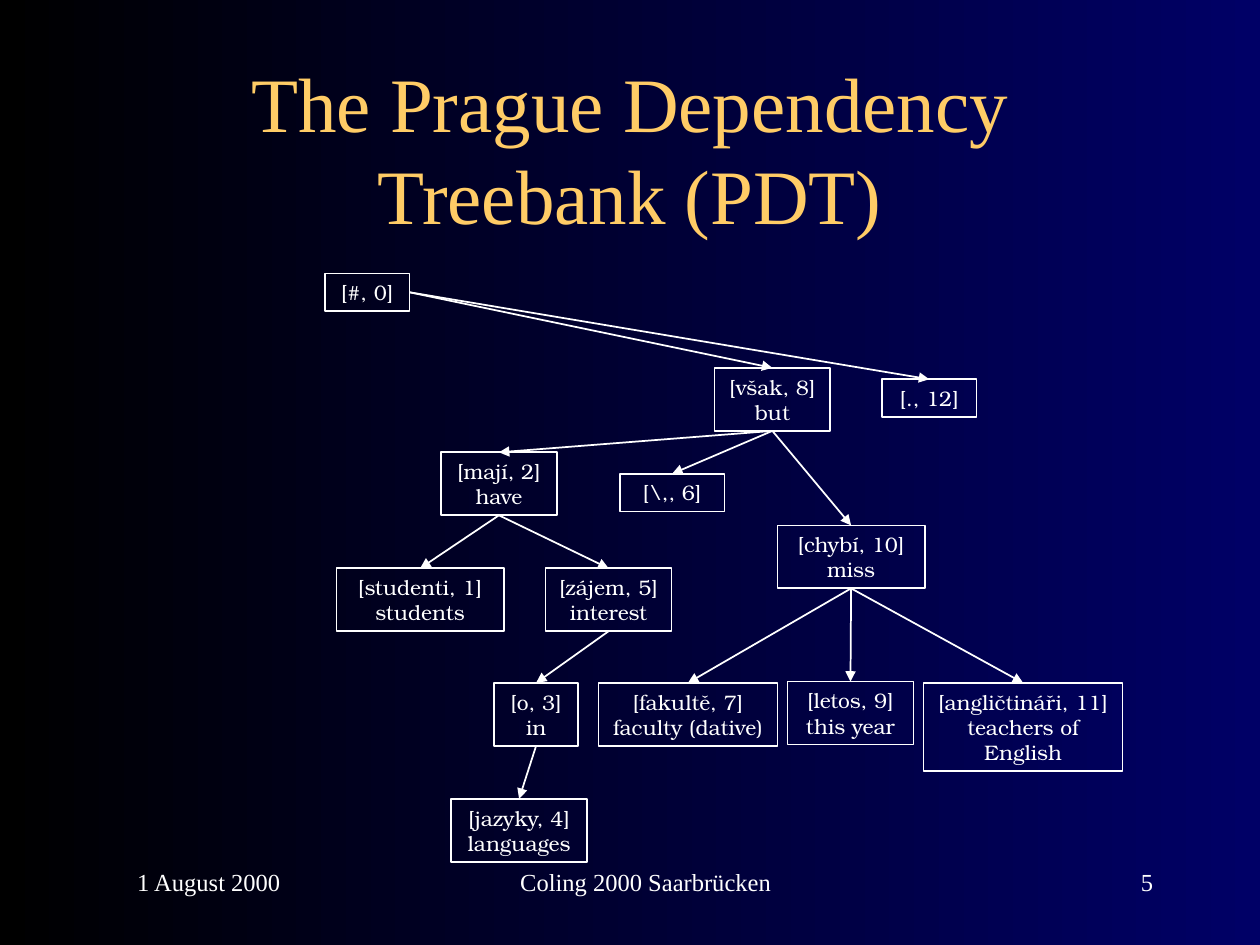
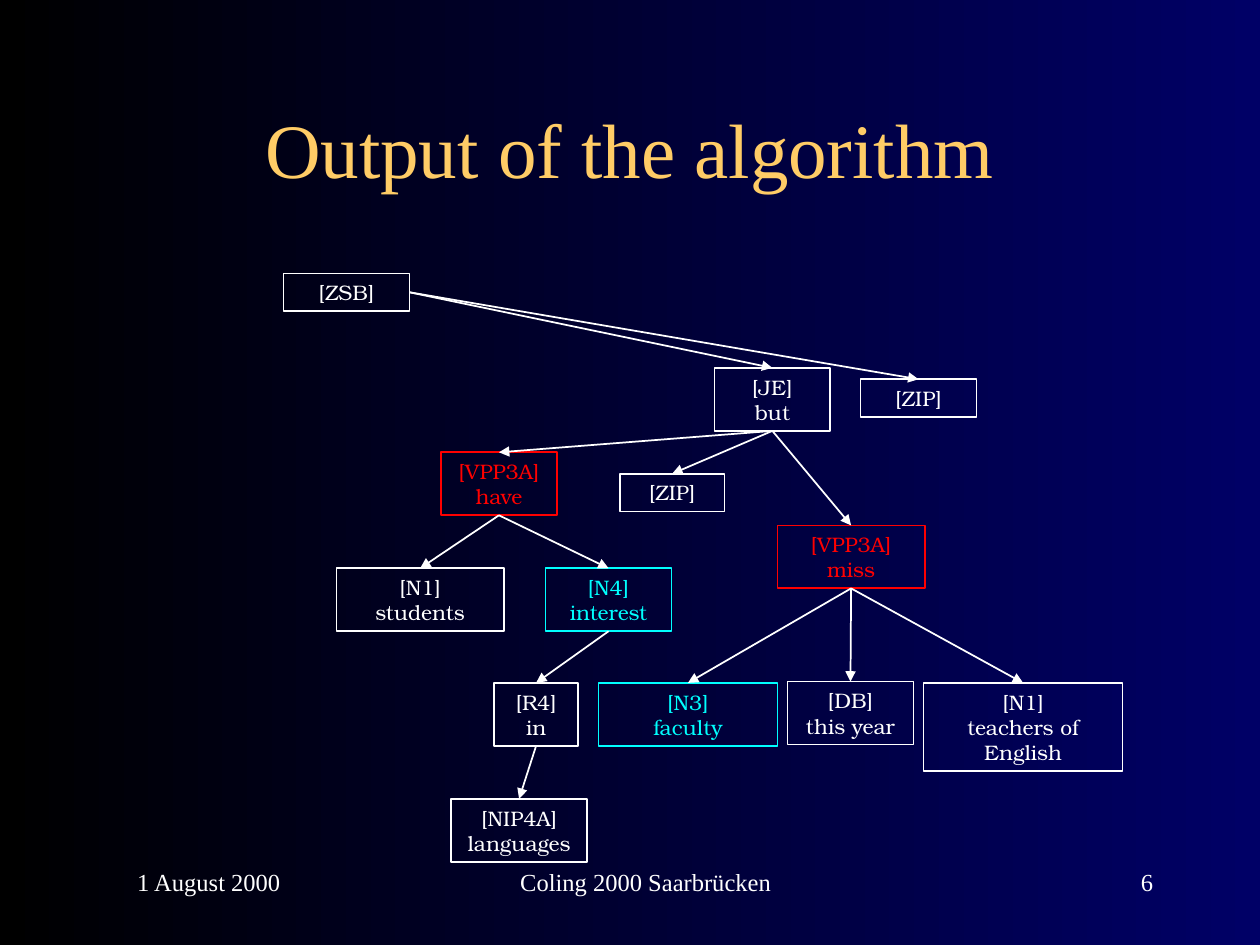
from copy import deepcopy
from dataclasses import dataclass
from typing import Optional

from lxml.etree import SubElement
from pptx import Presentation
from pptx.dml.color import RGBColor
from pptx.enum.shapes import MSO_CONNECTOR, MSO_SHAPE
from pptx.enum.text import MSO_ANCHOR, MSO_AUTO_SIZE, PP_ALIGN
from pptx.oxml.ns import qn
from pptx.util import Inches, Pt


@dataclass(frozen=True)
class Theme:
    night: RGBColor = RGBColor(0x00, 0x00, 0x00)
    navy: RGBColor = RGBColor(0x00, 0x00, 0x66)
    gold: RGBColor = RGBColor(0xFF, 0xCC, 0x66)
    white: RGBColor = RGBColor(0xFF, 0xFF, 0xFF)
    red: RGBColor = RGBColor(0xFF, 0x00, 0x00)
    cyan: RGBColor = RGBColor(0x00, 0xFF, 0xFF)
    serif: str = "Times New Roman"
    tree_font: str = "TeX Gyre Bonum"
    title_size: int = 44
    footer_size: int = 14
    node_size: int = 12
    line_width: int = 1


THEME = Theme()
TOP, BOTTOM, RIGHT = 0, 2, 3


@dataclass(frozen=True)
class Node:
    name: str
    parent: Optional[str]
    right: float
    top: float
    width: float
    lines: int = 2


@dataclass(frozen=True)
class Label:
    text: str
    color: RGBColor = THEME.white
    width: Optional[float] = None


@dataclass(frozen=True)
class Footer:
    text: str
    left: float
    width: float
    align: PP_ALIGN


@dataclass(frozen=True)
class TreeSlide:
    title: str
    number: int
    labels: dict[str, Label]


NODES = [
    Node("root", None, 3.25, 2.17, 0.67, 1),
    Node("but", "root", 6.59, 2.92, 0.92),
    Node("stop", "root", 7.75, 3.01, 0.75, 1),
    Node("have", "but", 4.42, 3.59, 0.92),
    Node("comma", "but", 5.75, 3.76, 0.83, 1),
    Node("miss", "but", 7.34, 4.17, 1.17),
    Node("students", "have", 4, 4.51, 1.33),
    Node("interest", "have", 5.33, 4.51, 1),
    Node("in", "interest", 4.59, 5.42, 0.67),
    Node("languages", "in", 4.66, 6.34, 1.08),
    Node("faculty", "miss", 6.17, 5.42, 1.42),
    Node("year", "miss", 7.25, 5.41, 1),
    Node("teachers", "miss", 8.91, 5.42, 1.58, 3),
]

SLIDES = [
    TreeSlide("The Prague Dependency Treebank (PDT)", 5, {
        "root": Label("[#, 0]"),
        "but": Label("[však, 8]\nbut"),
        "stop": Label("[., 12]"),
        "have": Label("[mají, 2]\nhave"),
        "comma": Label("[\\,, 6]"),
        "miss": Label("[chybí, 10]\nmiss"),
        "students": Label("[studenti, 1]\nstudents"),
        "interest": Label("[zájem, 5]\ninterest"),
        "in": Label("[o, 3]\nin"),
        "languages": Label("[jazyky, 4]\nlanguages"),
        "faculty": Label("[fakultě, 7]\nfaculty (dative)"),
        "year": Label("[letos, 9]\nthis year"),
        "teachers": Label("[angličtináři, 11]\nteachers of English"),
    }),
    TreeSlide("Output of the algorithm", 6, {
        "root": Label("[ZSB]", width=1),
        "but": Label("[JE]\nbut"),
        "stop": Label("[ZIP]", width=0.92),
        "have": Label("[VPP3A]\nhave", THEME.red),
        "comma": Label("[ZIP]"),
        "miss": Label("[VPP3A]\nmiss", THEME.red),
        "students": Label("[N1]\nstudents"),
        "interest": Label("[N4]\ninterest", THEME.cyan),
        "in": Label("[R4]\nin"),
        "languages": Label("[NIP4A]\nlanguages"),
        "faculty": Label("[N3]\nfaculty", THEME.cyan),
        "year": Label("[DB]\nthis year"),
        "teachers": Label("[N1]\nteachers of English"),
    }),
]


def write(sp, text: str, *, font: str, size: int, color: RGBColor,
          align=PP_ALIGN.CENTER, anchor=MSO_ANCHOR.MIDDLE,
          fit=MSO_AUTO_SIZE.NONE, indent: float = 0) -> None:
    tf = sp.text_frame
    tf.word_wrap = True
    tf.auto_size = fit
    tf.vertical_anchor = anchor
    p = tf.paragraphs[0]
    p.text = text
    p.alignment = align
    if indent:
        pPr = p._p.get_or_add_pPr()
        pPr.set("marL", str(Inches(indent)))
        pPr.set("indent", "0")
    for r in p.runs:
        r.font.name = font
        r.font.size = Pt(size)
        r.font.color.rgb = color
    for br in p._p.findall(qn("a:br")):
        br.append(deepcopy(p.runs[0]._r.rPr))


def paint_background(master) -> None:
    fill = master.background.fill
    fill.gradient()
    fill.gradient_angle = 180
    for stop, color in zip(fill.gradient_stops, (THEME.navy, THEME.night)):
        stop.color.rgb = color


def add_title(s, text: str) -> None:
    title = s.shapes.title
    title.left, title.top = Inches(0.75), Inches(0.42)
    title.width, title.height = Inches(8.5), Inches(1.5)
    write(title, text, font=THEME.serif, size=THEME.title_size, color=THEME.gold)


def add_node(s, node: Node, label: Label):
    width = label.width or node.width
    sp = s.shapes.add_shape(
        MSO_SHAPE.RECTANGLE, Inches(node.right - width), Inches(node.top),
        Inches(width), Inches(0.1 + 0.2 * node.lines))
    sp.shadow.inherit = False
    sp.fill.background()
    sp.line.color.rgb = label.color
    sp.line.width = Pt(THEME.line_width)
    write(sp, label.text, font=THEME.tree_font, size=THEME.node_size,
          color=label.color, fit=MSO_AUTO_SIZE.SHAPE_TO_FIT_TEXT)
    return sp


def add_arrow(s, parent, parent_site: int, child) -> None:
    arrow = s.shapes.add_connector(MSO_CONNECTOR.STRAIGHT, 0, 0, 0, 0)
    arrow.begin_connect(parent, parent_site)
    arrow.end_connect(child, TOP)
    arrow.line.color.rgb = THEME.white
    arrow.line.width = Pt(THEME.line_width)
    SubElement(arrow.line._get_or_add_ln(), qn("a:tailEnd"), type="triangle")
    SubElement(arrow._element.spPr, qn("a:effectLst"))


def add_tree(s, labels: dict[str, Label]) -> None:
    boxes = {node.name: add_node(s, node, labels[node.name]) for node in NODES}
    for node in NODES:
        if node.parent:
            site = RIGHT if node.parent == "root" else BOTTOM
            add_arrow(s, boxes[node.parent], site, boxes[node.name])


def add_footers(s, number: int) -> None:
    for footer in (
        Footer("1 August 2000", 0.75, 2.08, PP_ALIGN.LEFT),
        Footer("Coling 2000 Saarbrücken", 3.42, 3.17, PP_ALIGN.CENTER),
        Footer(str(number), 7.17, 2.08, PP_ALIGN.RIGHT),
    ):
        sp = s.shapes.add_textbox(Inches(footer.left), Inches(6.83),
                                  Inches(footer.width), Inches(0.5))
        write(sp, footer.text, font=THEME.serif, size=THEME.footer_size,
              color=THEME.white, align=footer.align, anchor=MSO_ANCHOR.TOP,
              indent=0.24)


def main() -> None:
    prs = Presentation()
    prs.slide_width, prs.slide_height = Inches(10), Inches(7.5)
    paint_background(prs.slide_master)
    for tree in SLIDES:
        s = prs.slides.add_slide(prs.slide_layouts[5])
        add_title(s, tree.title)
        add_tree(s, tree.labels)
        add_footers(s, tree.number)
    prs.save("out.pptx")


if __name__ == "__main__":
    main()
